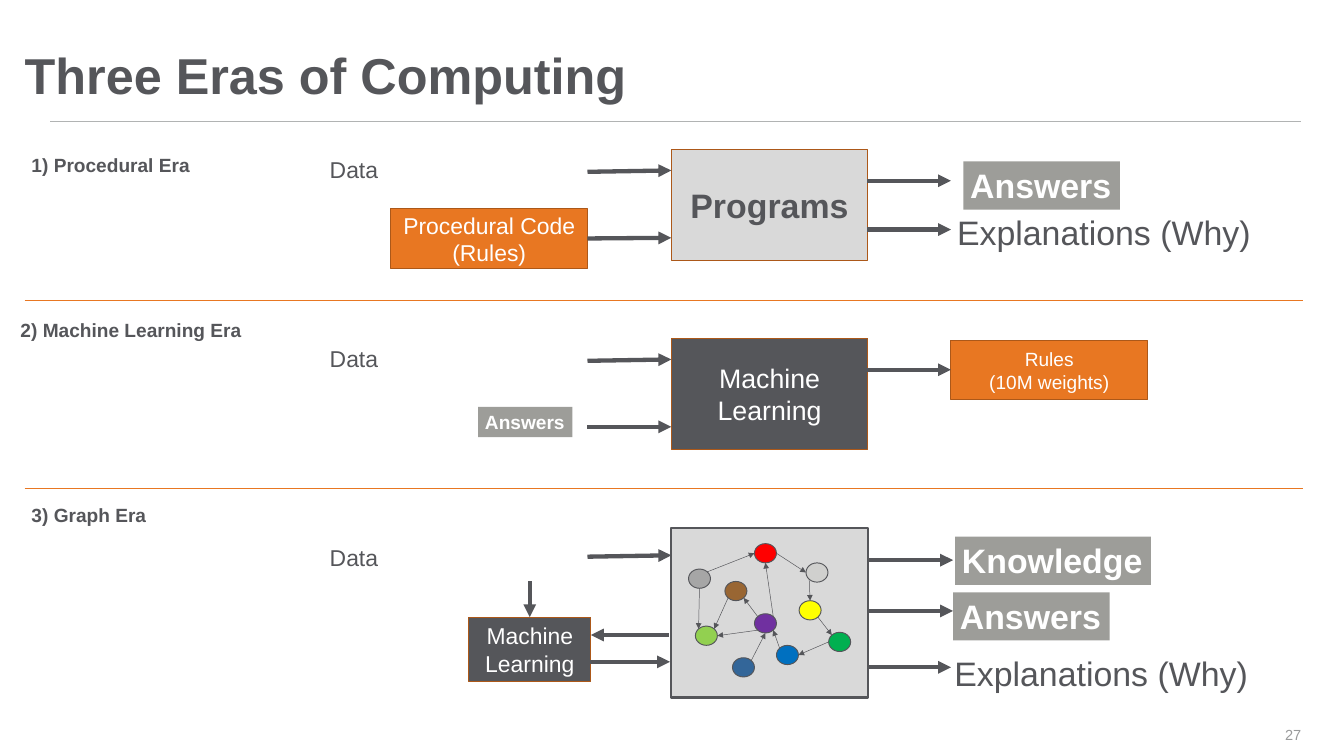
from dataclasses import dataclass
from typing import NamedTuple

import lxml.etree
import pptx
import pptx.dml.color
import pptx.enum.shapes
import pptx.enum.text
import pptx.oxml.ns
import pptx.util

Shape = pptx.enum.shapes.MSO_SHAPE
Align = pptx.enum.text.PP_ALIGN
Anchor = pptx.enum.text.MSO_ANCHOR
COLUMNS, ROWS = 19.56, 11
CELL = pptx.util.Inches(1)


@dataclass(frozen=True)
class Theme:
    font: str = "Arial"
    ink: str = "55565A"
    white: str = "FFFFFF"
    orange: str = "E87722"
    rust: str = "AC5819"
    panel: str = "D9D9D9"
    badge: str = "9D9D99"
    rule: str = "B1B3B3"
    number: str = "999A9B"
    title_size: float = 52.8
    large: float = 35.5
    medium: float = 28
    body: float = 24
    small: float = 20
    number_size: float = 15.3
    flow: float = 4.5
    frame: float = 2.25
    outline: float = 1
    hair: float = 0.5


THEME = Theme()


class Area(NamedTuple):
    column: float
    row: float
    columns: float
    rows: float


class Point(NamedTuple):
    column: float
    row: float


class Box(NamedTuple):
    area: Area
    paragraphs: tuple[str, ...]
    size: float
    fill: str
    ink: str = THEME.white
    line: str = THEME.rust
    width: float = THEME.outline
    bold: bool = False


class Label(NamedTuple):
    area: Area
    text: str
    size: float
    bold: bool = False
    badge: bool = False


class Node(NamedTuple):
    column: float
    row: float
    color: str


class Edge(NamedTuple):
    start: str
    start_side: str
    end: str
    end_side: str


def cells(*lengths: float) -> list[int]:
    return [round(length * CELL) for length in lengths]


def rgb(color: str) -> pptx.dml.color.RGBColor:
    return pptx.dml.color.RGBColor.from_string(color)


def write(frame, paragraphs: tuple[str, ...], size: float, ink: str, bold=False, align=Align.LEFT):
    for index, text in enumerate(paragraphs):
        paragraph = frame.paragraphs[0] if index == 0 else frame.add_paragraph()
        paragraph.alignment = align
        for part, words in enumerate(text.split("\n")):
            if part:
                paragraph.add_line_break()
            run = paragraph.add_run()
            run.text = words
            run.font.name, run.font.size, run.font.bold = THEME.font, pptx.util.Pt(size), bold
            run.font.color.rgb = rgb(ink)


def draw_shape(slide, kind, area: Area, fill: str, line: str, width: float):
    shape = slide.shapes.add_shape(kind, *cells(*area))
    shape.shadow.inherit = False
    shape.fill.solid()
    shape.fill.fore_color.rgb = rgb(fill)
    shape.line.color.rgb = rgb(line)
    shape.line.width = pptx.util.Pt(width)
    return shape


def draw_box(slide, box: Box) -> None:
    shape = draw_shape(slide, Shape.RECTANGLE, box.area, box.fill, box.line, box.width)
    shape.text_frame.vertical_anchor = Anchor.MIDDLE
    write(shape.text_frame, box.paragraphs, box.size, box.ink, box.bold, Align.CENTER)


def draw_label(slide, label: Label) -> None:
    holder = slide.shapes.add_textbox(*cells(*label.area))
    holder.text_frame.word_wrap = False
    holder.text_frame.auto_size = pptx.enum.text.MSO_AUTO_SIZE.SHAPE_TO_FIT_TEXT
    if label.badge:
        holder.fill.solid()
        holder.fill.fore_color.rgb = rgb(THEME.badge)
    ink = THEME.white if label.badge else THEME.ink
    write(holder.text_frame, (label.text,), label.size, ink, label.bold)


def draw_line(slide, start: Point, end: Point, color: str, width: float, arrow=False) -> None:
    straight = pptx.enum.shapes.MSO_CONNECTOR.STRAIGHT
    connector = slide.shapes.add_connector(straight, *cells(*start, *end))
    connector.line.color.rgb = rgb(color)
    connector.line.width = pptx.util.Pt(width)
    qn = pptx.oxml.ns.qn
    if arrow:
        lxml.etree.SubElement(connector.line._get_or_add_ln(), qn("a:tailEnd"), type="triangle")
    lxml.etree.SubElement(connector._element.spPr, qn("a:effectLst"))


def draw_plain(slide, area: Area, text: str, size: float, ink: str, bold, align, anchor):
    frame = slide.shapes.add_textbox(*cells(*area)).text_frame
    frame.word_wrap = True
    frame.vertical_anchor = anchor
    frame.margin_left = frame.margin_right = frame.margin_top = frame.margin_bottom = 0
    write(frame, (text,), size, ink, bold, align)
    return frame


NODE_WIDTH, NODE_HEIGHT, DIAGONAL = 0.32, 0.28, 0.71
SIDES = {"N": (0, -1), "S": (0, 1), "W": (-1, 0), "E": (1, 0)}
SIDES |= {v + h: (SIDES[h][0] * DIAGONAL, SIDES[v][1] * DIAGONAL) for v in "NS" for h in "WE"}

NODES = {
    "red": Node(10.98, 7.91, "FF0000"), "brown": Node(10.55, 8.46, "996633"),
    "purple": Node(10.98, 8.93, "7030A0"), "silver": Node(11.73, 8.19, "D0D0CE"),
    "yellow": Node(11.63, 8.74, "FFFF00"), "lime": Node(10.12, 9.11, "92D050"),
    "blue": Node(11.3, 9.39, "0070C0"), "gray": Node(10.02, 8.28, "A6A6A6"),
    "green": Node(12.06, 9.2, "00B050"), "navy": Node(10.66, 9.57, "336699"),
}
EDGES = [Edge(*words.split()) for words in (
    "gray NE red W", "red E silver W", "silver SW yellow N", "yellow SE green NW",
    "green W blue E", "blue NW purple SE", "purple NW brown SE", "brown SW lime NE",
    "gray S lime NW", "purple NE red S", "purple SW lime E", "navy NE purple S")]


def node_side(node: Node, side: str) -> Point:
    across, down = SIDES[side]
    return Point(node.column + NODE_WIDTH * (1 + across) / 2, node.row + NODE_HEIGHT * (1 + down) / 2)


ENGINE, ENGINE_END, INPUT_END, OUTPUT = 9.77, 12.62, 8.55, 13.84
WIDE = 2.86
T = THEME
BOXES = [
    Box(Area(5.69, 3.04, WIDE, 0.87), ("Procedural Code (Rules)",), T.body, T.orange),
    Box(Area(ENGINE, 2.17, WIDE, 1.62), ("Programs",), T.large, T.panel, T.ink, bold=True),
    Box(Area(ENGINE, 4.92, WIDE, 1.62), ("Machine", "Learning"), T.medium, T.ink),
    Box(Area(OUTPUT, 4.95, WIDE, 0.87), ("Rules\n(10M weights)",), T.small, T.orange),
    Box(Area(ENGINE, 7.68, WIDE, 2.47), (), T.body, T.panel, line=T.ink, width=T.frame),
    Box(Area(6.82, 8.98, 1.78, 0.94), ("Machine", "Learning"), T.body, T.ink),
]
LABELS = [
    Label(Area(0.36, 2.18, 2.52, 0.44), "1) Procedural Era", T.small, True),
    Label(Area(0.2, 4.59, 3.44, 0.44), "2) Machine Learning Era", T.small, True),
    Label(Area(0.36, 7.27, 1.88, 0.44), "3) Graph Era", T.small, True),
    *(Label(Area(4.7, row, 0.91, 0.5), "Data", T.body) for row in (2.21, 4.96, 7.86)),
    Label(Area(14.02, 2.35, 2.28, 0.7), "Answers", T.large, True, True),
    Label(Area(13.83, 3.03, 4.52, 0.7), "Explanations (Why)", T.large),
    Label(Area(6.96, 5.92, 1.37, 0.44), "Answers", T.small, True, True),
    Label(Area(13.9, 7.81, 2.85, 0.7), "Knowledge", T.large, True, True),
    Label(Area(13.87, 8.62, 2.28, 0.7), "Answers", T.large, True, True),
    Label(Area(13.79, 9.45, 4.52, 0.7), "Explanations (Why)", T.large),
]
FLOWS = [
    *((Point(INPUT_END, row), Point(ENGINE, row - rise))
      for row, rise in ((2.5, 0.02), (3.47, 0.01), (5.25, 0.02), (6.21, 0), (8.1, 0.02))),
    *((Point(ENGINE_END, row), Point(OUTPUT, row)) for row in (2.63, 3.34, 5.38, 9.71)),
    *((Point(12.65, row), Point(13.87, row)) for row in (8.15, 8.89)),
    (Point(8.57, 9.63), Point(9.75, 9.63)),
    (Point(9.73, 9.24), Point(8.6, 9.24)),
    (Point(7.71, 8.46), Point(7.71, 8.98)),
]


def main() -> None:
    deck = pptx.Presentation()
    deck.slide_width, deck.slide_height = cells(COLUMNS, ROWS)
    slide = deck.slides.add_slide(deck.slide_layouts[6])
    draw_line(slide, Point(0.73, 1.77), Point(18.94, 1.77), T.rule, T.outline)
    title = draw_plain(slide, Area(0.36, 0.34, 16.87, 1.2), "Three Eras of Computing",
                       T.title_size, T.ink, True, Align.LEFT, Anchor.BOTTOM)
    title.paragraphs[0].line_spacing = 0.9
    for row in (4.37, 7.1):
        draw_line(slide, Point(0.36, row), Point(18.97, row), T.orange, T.hair)
    for box in BOXES:
        draw_box(slide, box)
    for node in NODES.values():
        area = Area(node.column, node.row, NODE_WIDTH, NODE_HEIGHT)
        draw_shape(slide, Shape.OVAL, area, node.color, T.ink, T.outline)
    for edge in EDGES:
        draw_line(slide, node_side(NODES[edge.start], edge.start_side),
                  node_side(NODES[edge.end], edge.end_side), T.ink, T.hair, arrow=True)
    for label in LABELS:
        draw_label(slide, label)
    for start, end in FLOWS:
        draw_line(slide, start, end, T.ink, T.flow, arrow=True)
    draw_plain(slide, Area(18.07, 10.4, 0.87, 0.59), "27", T.number_size, T.number,
               False, Align.RIGHT, Anchor.MIDDLE)
    deck.save("out.pptx")


if __name__ == "__main__":
    main()
